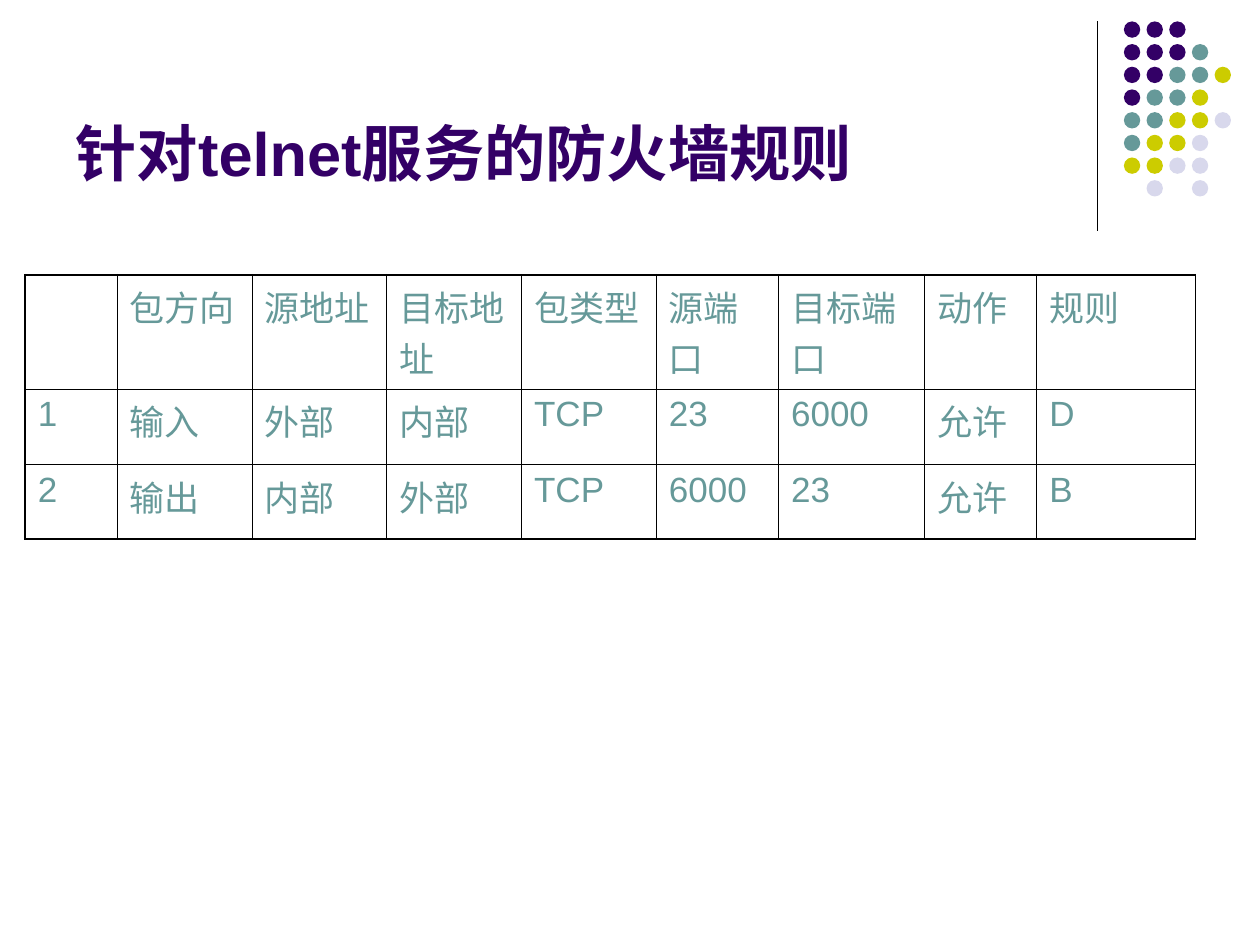
from lxml.etree import SubElement
from pptx import Presentation
from pptx.dml.color import RGBColor
from pptx.enum.shapes import MSO_CONNECTOR as Connector, MSO_SHAPE as Shape
from pptx.enum.text import MSO_ANCHOR as Anchor, PP_ALIGN as Align
from pptx.oxml.ns import qn
from pptx.util import Inches, Pt

TITLE = "针对telnet服务的防火墙规则"
RULES = [
    ["", "包方向", "源地址", "目标地址", "包类型", "源端口", "目标端口", "动作", "规则"],
    ["1", "输入", "外部", "内部", "TCP", "23", "6000", "允许", "D"],
    ["2", "输出", "内部", "外部", "TCP", "6000", "23", "允许", "B"],
]
COLUMN_WIDTHS = [0.73, 1.07, 1.07, 1.07, 1.07, 0.97, 1.16, 0.89, 1.26]
ROW_HEIGHTS = [0.77, 0.6, 0.59]

PURPLE, TEAL, OLIVE, LAVENDER, BLACK = "330066", "669999", "CCCC00", "D8D8EC", "000000"
DOT_COLORS = {"P": PURPLE, "T": TEAL, "O": OLIVE, "L": LAVENDER}
DOT_ROWS = ["PPP", "PPPT", "PPTTO", "PTTO", "TTOOL", "TOOL", "OOLL", " L L"]
DOT_LEFT, DOT_TOP, DOT_PITCH, DOT_SIZE = 8.92, 0.17, 0.18, 0.13
OUTER, INNER = 1.08, 0.45


def color(value):
    return RGBColor.from_string(value)


def write(text_frame, text, size, value, bold=False):
    paragraph = text_frame.paragraphs[0]
    paragraph.alignment = Align.LEFT
    run = paragraph.add_run()
    run.text = text
    run.font.name = "Arial"
    run.font.size = Pt(size)
    run.font.bold = bold
    run.font.color.rgb = color(value)


def add_border(cell, side, width):
    line = SubElement(cell._tc.get_or_add_tcPr(), qn(f"a:ln{side}"), w=str(Pt(width)))
    fill = SubElement(line, qn("a:solidFill"))
    SubElement(fill, qn("a:srgbClr"), val=BLACK)


def add_divider(slide):
    divider = slide.shapes.add_connector(
        Connector.STRAIGHT, Inches(8.71), Inches(0.17), Inches(8.71), Inches(1.83))
    divider.line.color.rgb = color(BLACK)
    divider.line.width = Pt(0.75)
    SubElement(divider._element.spPr, qn("a:effectLst"))


def add_dots(slide):
    group = slide.shapes.add_group_shape()
    for row, letters in enumerate(DOT_ROWS):
        for column, letter in enumerate(letters):
            if letter == " ":
                continue
            dot = group.shapes.add_shape(
                Shape.OVAL,
                Inches(DOT_LEFT + column * DOT_PITCH), Inches(DOT_TOP + row * DOT_PITCH),
                Inches(DOT_SIZE), Inches(DOT_SIZE))
            dot.shadow.inherit = False
            dot.fill.solid()
            dot.fill.fore_color.rgb = color(DOT_COLORS[letter])
            dot.line.fill.background()


def add_title(slide):
    title = slide.shapes.title
    title.left, title.top = Inches(0.5), Inches(0.13)
    title.width, title.height = Inches(8.25), Inches(1.42)
    title.text_frame.vertical_anchor = Anchor.BOTTOM
    write(title.text_frame, TITLE, 35, PURPLE, bold=True)


def add_rules(slide):
    last_row, last_column = len(RULES) - 1, len(COLUMN_WIDTHS) - 1
    table = slide.shapes.add_table(
        len(RULES), len(COLUMN_WIDTHS), Inches(0.2), Inches(2.18),
        Inches(sum(COLUMN_WIDTHS)), Inches(sum(ROW_HEIGHTS))).table
    table.first_row = table.horz_banding = False
    for column, width in zip(table.columns, COLUMN_WIDTHS):
        column.width = Inches(width)
    for row, height in zip(table.rows, ROW_HEIGHTS):
        row.height = Inches(height)
    for row, texts in enumerate(RULES):
        for column, text in enumerate(texts):
            cell = table.cell(row, column)
            edges = {"L": column == 0, "R": column == last_column,
                     "T": row == 0, "B": row == last_row}
            for side, is_outer in edges.items():
                add_border(cell, side, OUTER if is_outer else INNER)
            cell.fill.background()
            if text:
                write(cell.text_frame, text, 20, TEAL)


def main():
    presentation = Presentation()
    presentation.slide_width, presentation.slide_height = Inches(10), Inches(7.5)
    slide = presentation.slides.add_slide(presentation.slide_layouts[5])
    add_divider(slide)
    add_dots(slide)
    add_title(slide)
    add_rules(slide)
    presentation.save("out.pptx")


if __name__ == "__main__":
    main()
